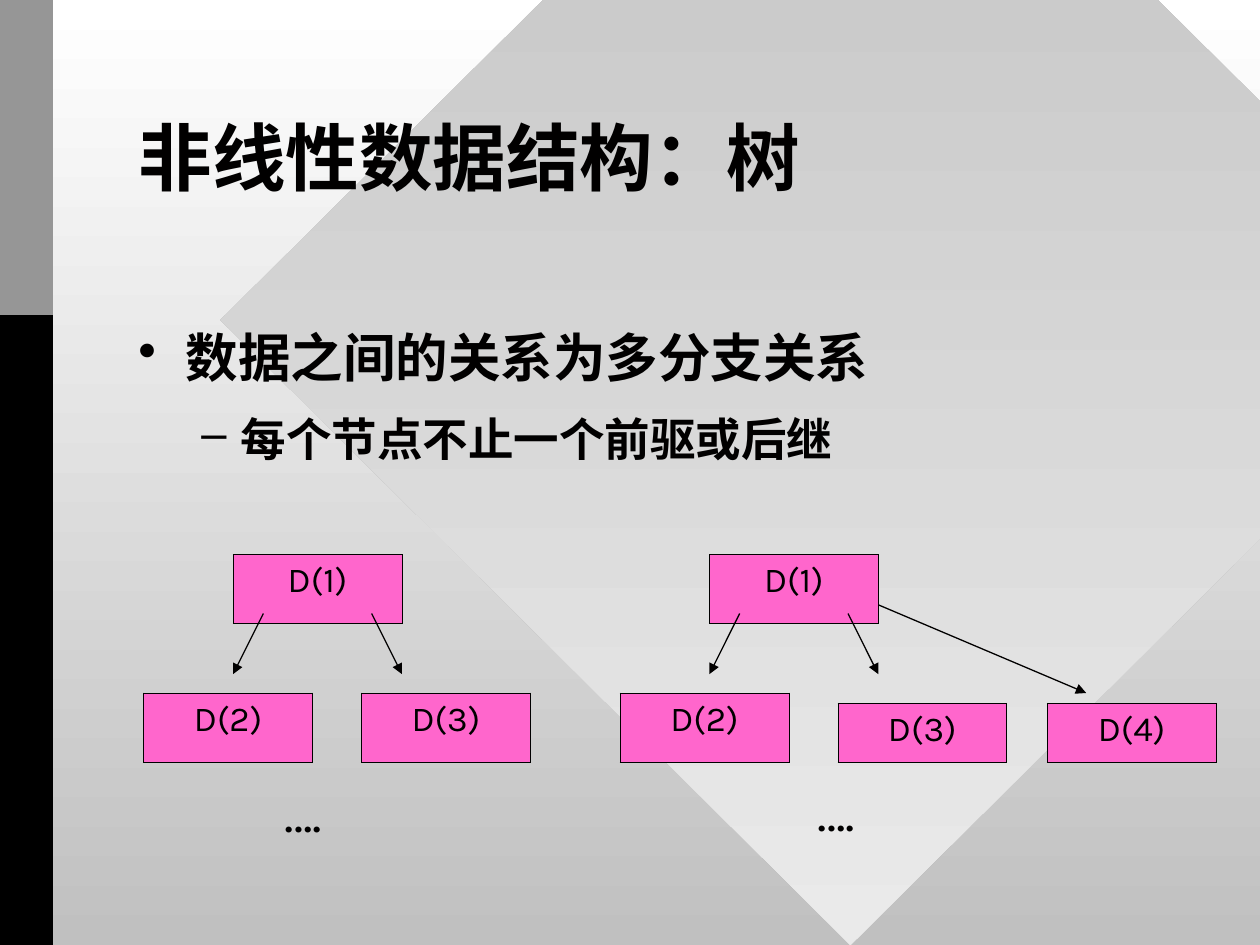
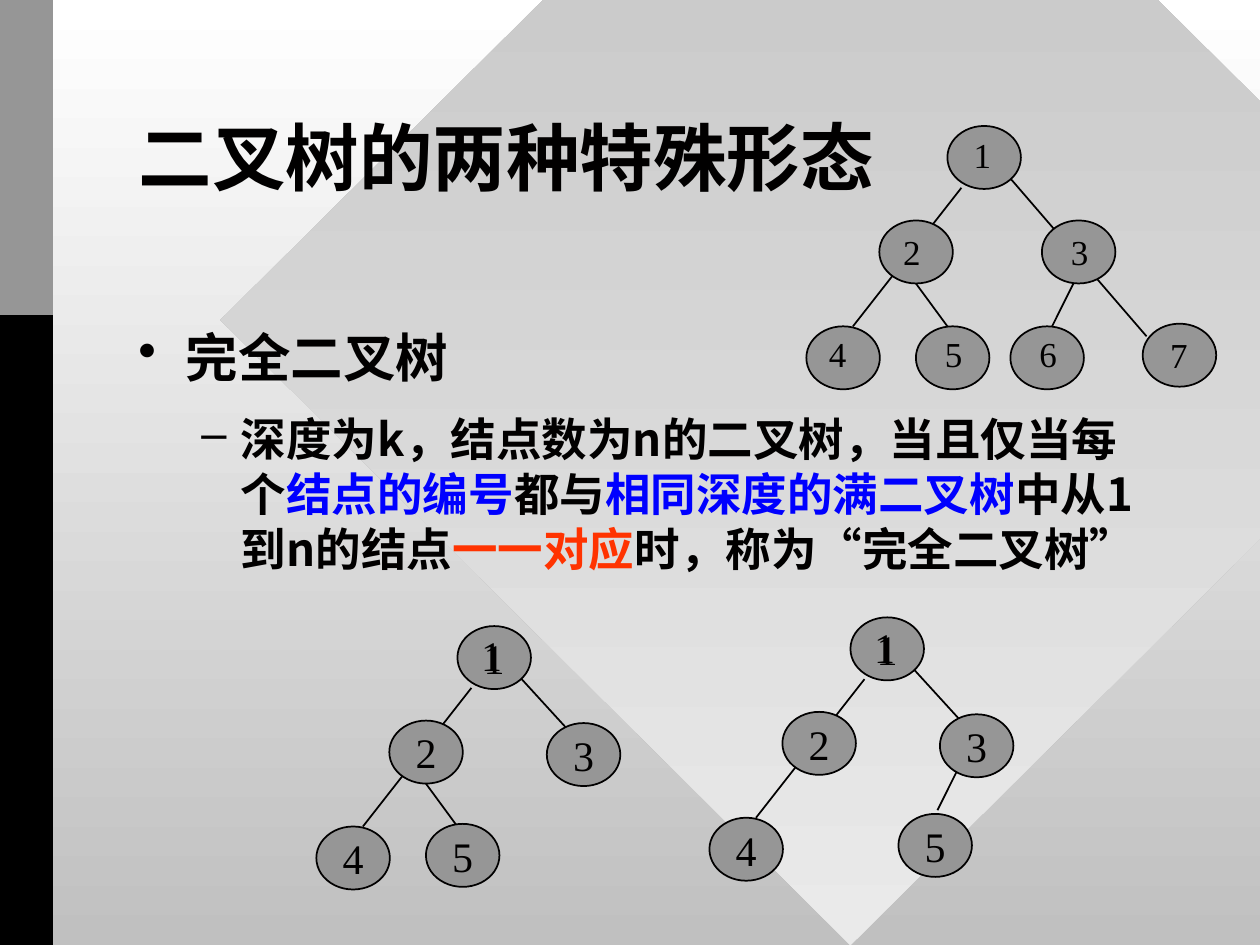
"""Two slides on trees: branching data structures and complete binary trees."""
from dataclasses import dataclass
from typing import NamedTuple, Optional

import lxml.etree
import pptx
import pptx.dml.color
import pptx.enum.shapes
import pptx.enum.text
import pptx.oxml.ns
import pptx.util

Pt = pptx.util.Pt
SHAPE = pptx.enum.shapes.MSO_SHAPE
ANCHOR = pptx.enum.text.MSO_ANCHOR
ALIGN = pptx.enum.text.PP_ALIGN
AUTO = pptx.enum.text.MSO_AUTO_SIZE
qn = pptx.oxml.ns.qn

COLORS = {"ink": "010000", "black": "000000", "white": "FFFFFF", "silver": "C0C0C0",
          "pale": "EAEAEA", "gray": "969696", "pink": "FF66CC", "blue": "0000FF", "red": "FF3300"}
SANS, CJK, SERIF = "Karla", "Noto Sans CJK SC", "Times New Roman"
BOX_W, BOX_H, LOW_BOX_H = 96.5, 39.6, 33.84
NODE_W, NODE_H = 42, 36


class Line(NamedTuple):
    x1: float
    y1: float
    x2: float
    y2: float


class Caption(NamedTuple):
    dx: float
    dy: float
    w: float


class Box(NamedTuple):
    label: str
    x: float
    y: float
    h: float = BOX_H


class Node(NamedTuple):
    label: str
    x: float
    y: float
    inside: bool = True
    caption: Optional[Caption] = None


class Span(NamedTuple):
    text: str
    color: str = "ink"


class Level(NamedTuple):
    bullet: str
    size: float
    left: float
    hanging: float
    before: float


@dataclass
class BoxTree:
    x: float
    y: float
    boxes: list[Box]
    arrows: list[Line]
    dots: tuple[float, float]


@dataclass
class NodeTree:
    x: float
    y: float
    size: float
    nodes: list[Node]
    links: list[Line]


LEVELS = [Level("•", 30, 27, 27, 0), Level("–", 26, 58.5, 22.5, 13)]

ROOT_BOX, BOX_2 = Box("D(1)", 0, 0), Box("D(2)", -51.1, 79.2)
ARROWS = [Line(17.3, 33.8, 0, 68.4), Line(79.2, 33.8, BOX_W, 68.4)]
BOX_TREES = [
    BoxTree(133.2, 316.8, [ROOT_BOX, BOX_2, Box("D(3)", 73.4, 79.2)], ARROWS, (155.5, 442.1)),
    BoxTree(405.4, 316.8,
            [ROOT_BOX, BOX_2, Box("D(3)", 73.4, 85, LOW_BOX_H), Box("D(4)", 193, 85, LOW_BOX_H)],
            ARROWS + [Line(BOX_W, 28.8, 215.3, 79.2)], (460.1, 441.4)),
]

LEFT_BRANCH = Line(8, 35.3, -54, 114.5)
RIGHT_BRANCH = Line(36, 29.5, 63.4, 59.5)
LINK_2_5 = Line(-18, 90, 0, 114.5)
TOP_NODES = [
    Node("4", -80.6, 114.5),
    Node("2", -38.9, 54),
    Node("1", 0, 0, True, Caption(6.5, -1.4, 14.4)),
    Node("3", 51.1, 55.4, False, Caption(7.9, 0, 22.3)),
]
FULL_NODES = [
    Node("1", 0, 0, False, Caption(7.9, 0.7, NODE_W)),
    Node("2", -38.9, 54, False, Caption(6.5, 2.2, NODE_W)),
    Node("3", 54, 54, False, Caption(9.4, 2.2, NODE_W)),
    Node("4", -80.6, 114.5, False, Caption(5.8, 0, NODE_W)),
    Node("5", -18, 114.5, False, Caption(9.4, 0, NODE_W)),
    Node("6", 36, 114.5, False, Caption(9.4, 0, NODE_W)),
    Node("7", 111.6, 113, False, Caption(8.6, 2.2, NODE_W)),
]
NODE_TREES = [
    NodeTree(261.4, 357.8, 24, TOP_NODES + [Node("5", -18, 113)],
             [RIGHT_BRANCH, LEFT_BRANCH, LINK_2_5]),
    NodeTree(486, 352.8, 24, TOP_NODES + [Node("5", 27.4, 112.3)],
             [RIGHT_BRANCH, LEFT_BRANCH, Line(61.2, 87.1, 49.7, 110.2)]),
    NodeTree(541.4, 72, 20, FULL_NODES,
             [Line(36, 30, 113.8, 120.2), LEFT_BRANCH, LINK_2_5, Line(72, 90, 59.8, 114.5)]),
]


def rgb(name: str) -> pptx.dml.color.RGBColor:
    """Return a named colour."""
    return pptx.dml.color.RGBColor.from_string(COLORS[name])


def add_run(p, text: str, size: float, font: str = SANS, color: str = "ink",
            bold: bool = False, cjk: bool = False) -> None:
    """Add a formatted run, with an East Asian font where needed."""
    r = p.add_run()
    r.text = text
    r.font.size, r.font.bold, r.font.name = Pt(size), bold, font
    r.font.color.rgb = rgb(color)
    if cjk:
        lxml.etree.SubElement(r.font._element, qn("a:ea"), typeface=CJK)


def set_gradient(fill, start: str, end: str) -> None:
    """Fill from top to bottom with two colours."""
    fill.gradient()
    fill.gradient_angle = 270
    for stop, name, position in zip(fill.gradient_stops, (start, end), (0, 1)):
        stop.color.rgb, stop.position = rgb(name), position


def add_shape(slide, kind, x: float, y: float, w: float, h: float, fill: str = "gray"):
    """Add a flat preset shape without an outline."""
    s = slide.shapes.add_shape(kind, Pt(x), Pt(y), Pt(w), Pt(h))
    s.shadow.inherit = False
    s.fill.solid()
    s.fill.fore_color.rgb = rgb(fill)
    s.line.fill.background()
    return s


def add_text_box(slide, x: float, y: float, w: float, h: float, wrap: bool = True):
    """Add an empty text box and return its text frame."""
    tf = slide.shapes.add_textbox(Pt(x), Pt(y), Pt(w), Pt(h)).text_frame
    tf.word_wrap = wrap
    return tf


def add_line(slide, tree, line: Line, width: float, arrow: bool = False) -> None:
    """Draw a straight line relative to the root of a tree."""
    c = slide.shapes.add_connector(
        pptx.enum.shapes.MSO_CONNECTOR.STRAIGHT, Pt(tree.x + line.x1), Pt(tree.y + line.y1),
        Pt(tree.x + line.x2), Pt(tree.y + line.y2))
    c.line.color.rgb, c.line.width = rgb("ink"), Pt(width)
    if arrow:
        lxml.etree.SubElement(c.line._get_or_add_ln(), qn("a:tailEnd"), type="triangle")
    lxml.etree.SubElement(c._element.spPr, qn("a:effectLst"))


def set_up_master(prs, slide) -> None:
    """Give the master its background, diamond and side bands."""
    master = prs.slide_master
    set_gradient(master.background.fill, "white", "silver")
    diamond = add_shape(slide, SHAPE.DIAMOND, 126, -174.24, 720, 714.24)
    set_gradient(diamond.fill, "silver", "pale")
    bands = [add_shape(slide, SHAPE.RECTANGLE, 0, 0, 30.24, h, fill)
             for h, fill in ((540, "black"), (180, "gray"))]
    for i, s in enumerate([diamond] + bands):
        master.shapes._spTree.insert(2 + i, s._element)


def set_title(slide, text: str) -> None:
    """Place and format the title."""
    s = slide.shapes.title
    s.left, s.top, s.width, s.height = Pt(72), Pt(48), Pt(576), Pt(90)
    tf = s.text_frame
    tf.auto_size, tf.vertical_anchor = AUTO.NONE, ANCHOR.MIDDLE
    p = tf.paragraphs[0]
    p.alignment, p.line_spacing = ALIGN.LEFT, 0.85
    add_run(p, text, 42, bold=True, cjk=True)


def add_body(slide, items: list[list[Span]], detail_font: str = SANS) -> None:
    """Add one bulleted paragraph for each outline level."""
    tf = add_text_box(slide, 72, 180, 594, 288)
    tf.margin_top = Pt(6)
    for i, (level, spans) in enumerate(zip(LEVELS, items)):
        p = tf.add_paragraph() if i else tf.paragraphs[0]
        p.level = i
        p.line_spacing, p.space_before = Pt(level.size * 1.2), Pt(level.before)
        pPr = p._p.get_or_add_pPr()
        pPr.set("marL", str(Pt(level.left)))
        pPr.set("indent", str(-Pt(level.hanging)))
        clr = lxml.etree.SubElement(pPr, qn("a:buClr"))
        lxml.etree.SubElement(clr, qn("a:srgbClr"), val=COLORS["ink"])
        lxml.etree.SubElement(pPr, qn("a:buChar"), char=level.bullet)
        for span in spans:
            add_run(p, span.text, level.size, detail_font if i else SANS, span.color, True, True)


def add_box(slide, tree: BoxTree, box: Box) -> None:
    """Draw a tree entry as a one-cell table."""
    frame = slide.shapes.add_table(1, 1, Pt(tree.x + box.x), Pt(tree.y + box.y),
                                   Pt(BOX_W), Pt(box.h))
    table = frame.table
    table.first_row = table.horz_banding = False
    cell = table.cell(0, 0)
    tcPr = cell._tc.get_or_add_tcPr()
    for side in ("a:lnL", "a:lnR", "a:lnT", "a:lnB"):
        ln = lxml.etree.SubElement(tcPr, qn(side), w=str(Pt(0.45)))
        fill = lxml.etree.SubElement(ln, qn("a:solidFill"))
        lxml.etree.SubElement(fill, qn("a:srgbClr"), val=COLORS["ink"])
    cell.fill.solid()
    cell.fill.fore_color.rgb = rgb("pink")
    p = cell.text_frame.paragraphs[0]
    p.alignment = ALIGN.CENTER
    add_run(p, box.label, 20)


def add_box_tree(slide, tree: BoxTree) -> None:
    """Draw boxes, arrows and the trailing dots."""
    for box in tree.boxes:
        add_box(slide, tree, box)
    for arrow in tree.arrows:
        add_line(slide, tree, arrow, 0.75, True)
    tf = add_text_box(slide, *tree.dots, 46, 43.2, wrap=False)
    tf.auto_size = AUTO.SHAPE_TO_FIT_TEXT
    add_run(tf.paragraphs[0], "….", 30)


def add_node(slide, tree: NodeTree, node: Node) -> None:
    """Draw a round node with its number."""
    x, y = tree.x + node.x, tree.y + node.y
    s = add_shape(slide, SHAPE.OVAL, x, y, NODE_W, NODE_H)
    s.line.color.rgb, s.line.width = rgb("ink"), Pt(1)
    if node.inside:
        tf = s.text_frame
        tf.word_wrap, tf.vertical_anchor = False, ANCHOR.MIDDLE
        tf.paragraphs[0].alignment = ALIGN.CENTER
        add_run(tf.paragraphs[0], node.label, tree.size, SERIF)
    if node.caption:
        dx, dy, w = node.caption
        tf = add_text_box(slide, x + dx, y + dy, w, tree.size * 1.5)
        add_run(tf.paragraphs[0], node.label, tree.size, SERIF)


def add_node_tree(slide, tree: NodeTree) -> None:
    """Draw the links of a binary tree, then its nodes."""
    for link in tree.links:
        add_line(slide, tree, link, 1)
    for node in tree.nodes:
        add_node(slide, tree, node)


def main() -> None:
    """Build and save both slides."""
    prs = pptx.Presentation()
    prs.slide_width, prs.slide_height = Pt(720), Pt(540)
    layout = prs.slide_layouts.get_by_name("Title Only")

    slide = prs.slides.add_slide(layout)
    set_up_master(prs, slide)
    set_title(slide, "非线性数据结构：树")
    add_body(slide, [[Span("数据之间的关系为多分支关系")], [Span("每个节点不止一个前驱或后继")]])
    for tree in BOX_TREES:
        add_box_tree(slide, tree)

    slide = prs.slides.add_slide(layout)
    set_title(slide, "二叉树的两种特殊形态")
    add_body(slide, [[Span("完全二叉树")], [
        Span("深度为k，结点数为n的二叉树，当且仅当每个"), Span("结点的编号", "blue"), Span("都与"),
        Span("相同深度的满二叉树", "blue"), Span("中从1到n的结点"), Span("一一对应", "red"),
        Span("时，称为“完全二叉树”")]], CJK)
    for tree in NODE_TREES:
        add_node_tree(slide, tree)

    prs.save("out.pptx")


if __name__ == "__main__":
    main()
